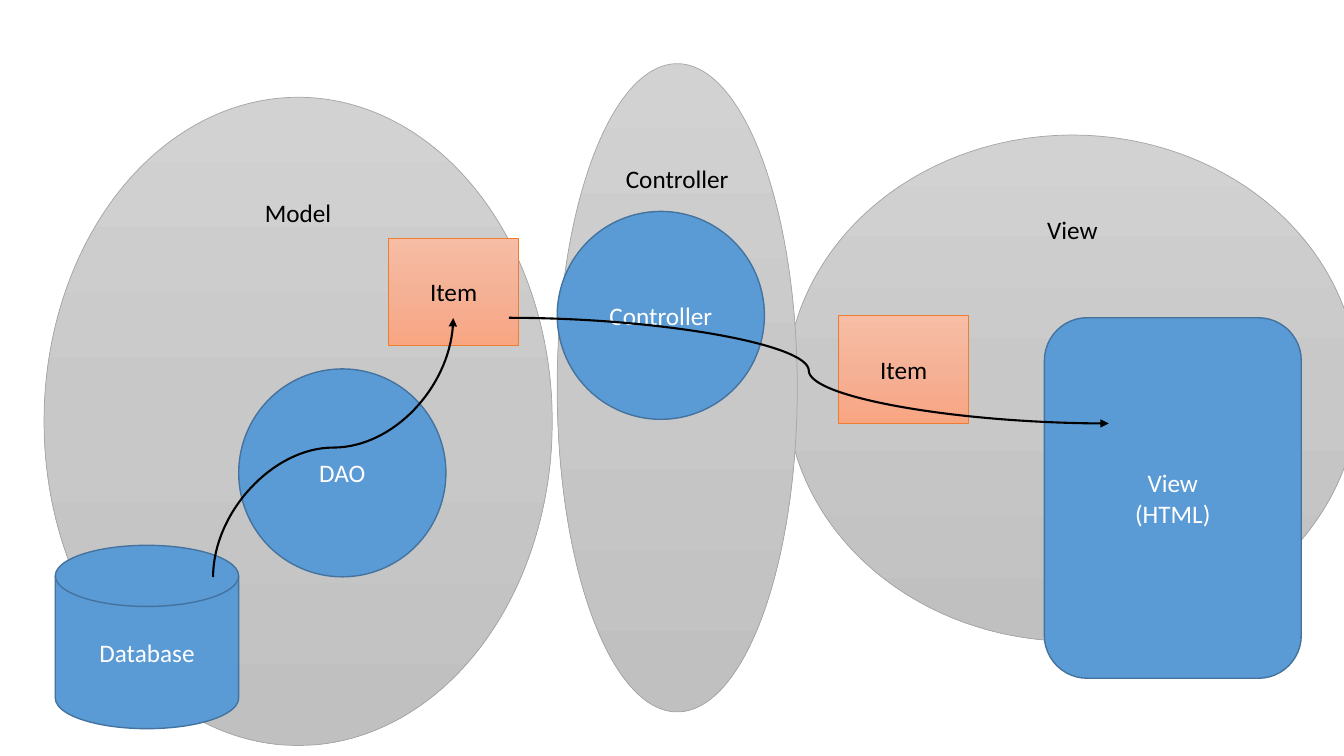
import copy

import pptx
import pptx.dml.color
import pptx.enum.shapes
import pptx.enum.text
import pptx.oxml
import pptx.oxml.ns
import pptx.util

Pt = pptx.util.Pt
SHAPE = pptx.enum.shapes.MSO_SHAPE
ANCHOR = pptx.enum.text.MSO_ANCHOR
qn = pptx.oxml.ns.qn

COLORS = {
    "black": "000000",
    "white": "FFFFFF",
    "blue": "5B9BD5",
    "blue line": "43739E",
    "gray line": "A5A5A5",
    "orange line": "ED7D31",
}
GRAY_GRADIENT = ("D2D2D2", "C8C8C8", "C0C0C0")
ORANGE_GRADIENT = ("F7BDA5", "F5B196", "F8A582")
CIRCLE_SIZE = (148, 148.5)
ITEM_SIZE = (93, 77)


def rgb(value):
    return pptx.dml.color.RGBColor.from_string(value)


def fill_gradient(box, colors):
    """Fill from top to bottom with evenly spaced colours."""
    box.fill.gradient()
    box.fill.gradient_angle = 270
    first_stop = box._element.spPr.find(".//" + qn("a:gs"))
    for _ in colors[2:]:
        first_stop.addnext(copy.deepcopy(first_stop))
    for index, (stop, color) in enumerate(zip(box.fill.gradient_stops, colors)):
        stop.position = index / (len(colors) - 1)
        stop.color.rgb = rgb(color)


def add_box(page, kind, text, place, line, line_width, text_color, anchor=ANCHOR.MIDDLE):
    box = page.shapes.add_shape(kind, *map(Pt, place))
    box.shadow.inherit = False
    box.line.color.rgb = rgb(COLORS[line])
    box.line.width = Pt(line_width)
    frame = box.text_frame
    frame.text = text
    frame.word_wrap = True
    frame.vertical_anchor = anchor
    for para in frame.paragraphs:
        para.alignment = pptx.enum.text.PP_ALIGN.CENTER
        for span in para.runs:
            span.font.name = "Calibri"
            span.font.size = Pt(18)
            span.font.color.rgb = rgb(COLORS[text_color])
    return box


def add_layer(page, text, *place):
    """Large gray ellipse with its name at the top."""
    box = add_box(page, SHAPE.OVAL, text, place, "gray line", 0.5, "black", ANCHOR.TOP)
    fill_gradient(box, GRAY_GRADIENT)


def add_component(page, kind, text, *place):
    box = add_box(page, kind, text, place, "blue line", 1, "white")
    box.fill.solid()
    box.fill.fore_color.rgb = rgb(COLORS["blue"])


def add_item(page, left, top):
    box = add_box(page, SHAPE.RECTANGLE, "Item", (left, top, *ITEM_SIZE), "orange line", 0.5, "black")
    fill_gradient(box, ORANGE_GRADIENT)


def add_curved_arrow(page, start, end, rotation=0):
    """Draw from start to end, then turn clockwise by rotation degrees."""
    arrow = page.shapes.add_connector(
        pptx.enum.shapes.MSO_CONNECTOR.CURVE, *map(Pt, (*start, *end))
    )
    arrow.line.color.rgb = rgb(COLORS["black"])
    arrow.line.width = Pt(1.5)
    properties = arrow._element.spPr
    if rotation:
        properties.find(qn("a:xfrm")).set("rot", str(rotation * 60000))
    head = pptx.oxml.parse_xml(f'<a:tailEnd {pptx.oxml.ns.nsdecls("a")} type="triangle"/>')
    properties.find(qn("a:ln")).append(head)
    properties.append(pptx.oxml.parse_xml(f'<a:effectLst {pptx.oxml.ns.nsdecls("a")}/>'))


def main():
    deck = pptx.Presentation()
    deck.slide_width, deck.slide_height = Pt(960), Pt(540)
    page = deck.slides.add_slide(deck.slide_layouts[6])

    add_layer(page, "Model", 31.5, 69.5, 363, 463)
    add_layer(page, "View", 561.5, 96.5, 409, 361.5)
    add_layer(page, "Controller", 398, 45.5, 171.5, 463)

    add_component(page, SHAPE.OVAL, "Controller", 398, 151, *CIRCLE_SIZE)
    add_component(page, SHAPE.ROUNDED_RECTANGLE, "View\n(HTML)", 746, 227, 183.5, 257.5)
    add_component(page, SHAPE.OVAL, "DAO", 170.5, 263.5, *CIRCLE_SIZE)
    add_item(page, 277.5, 170)
    add_component(page, SHAPE.FLOWCHART_MAGNETIC_DISK, "Database", 39.5, 389.5, 131, 131)
    add_item(page, 599, 225.5)

    # Database to the model's item, then on to the HTML view
    add_curved_arrow(page, (330.5, 405.5), (145.5, 234), rotation=90)
    add_curved_arrow(page, (363.5, 227), (792, 302.5))

    deck.save("out.pptx")


if __name__ == "__main__":
    main()
